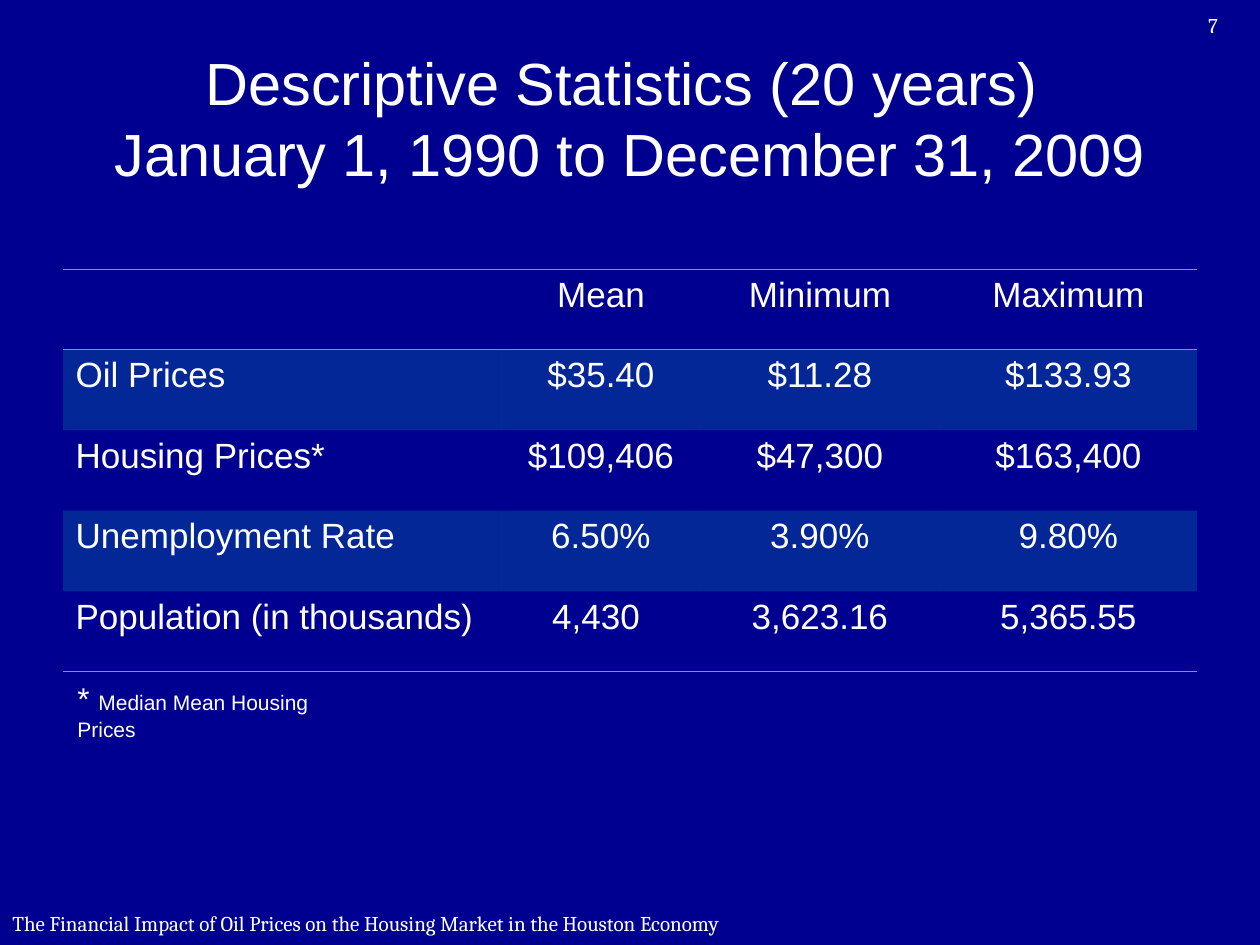
"""Build the descriptive statistics slide with its table, footnote, page number and footer."""
import pptx
import pptx.dml.color
import pptx.enum.text
import pptx.oxml
import pptx.oxml.ns
import pptx.util

ALIGN = pptx.enum.text.PP_ALIGN
ANCHOR = pptx.enum.text.MSO_ANCHOR
AUTO_SIZE = pptx.enum.text.MSO_AUTO_SIZE

THEME = {
    "background": "000090", "text": "FFFFFF", "accent": "17C7BA",
    "body_font": "Arial", "footer_font": "Cambria",
    "title": 34, "table": 20, "marker": 18, "small": 12,
    "rule": 0.45, "band_alpha": 20,
}

TABLE_ROWS = [
    ("", "Mean", "Minimum", "Maximum"),
    ("Oil Prices", "$35.40", "$11.28", "$133.93"),
    ("Housing Prices*", "$109,406", "$47,300", "$163,400"),
    ("Unemployment Rate", "6.50%", "3.90%", "9.80%"),
    ("Population (in thousands)", "4,430 ", "3,623.16", "5,365.55"),
]
COLUMN_WIDTHS = (439, 198, 240, 257)
TABLE_LEFT, TABLE_TOP, TABLE_HEIGHT = 63, 269, 403

TEXTS = [
    {"box": (63, 38, 1134, 158), "font": "body_font", "align": ALIGN.CENTER,
     "frame": {"word_wrap": True, "vertical_anchor": ANCHOR.MIDDLE},
     "runs": [("Descriptive Statistics (20 years) \nJanuary 1, 1990 to December 31, 2009", "title")]},
    {"box": (65, 673, 320, 50), "font": "body_font", "align": ALIGN.LEFT,
     "frame": {"word_wrap": False, "vertical_anchor": ANCHOR.TOP,
               "auto_size": AUTO_SIZE.SHAPE_TO_FIT_TEXT},
     "runs": [("* ", "marker"), ("Median Mean Housing Prices", "small")]},
    {"box": (1166, 0, 94, 50), "font": "footer_font", "align": ALIGN.CENTER,
     "frame": {"word_wrap": True, "vertical_anchor": ANCHOR.MIDDLE},
     "runs": [("7", "small")]},
    {"box": (0, 895, 798, 57), "font": "footer_font", "align": ALIGN.LEFT,
     "frame": {"word_wrap": True, "vertical_anchor": ANCHOR.MIDDLE},
     "runs": [("The Financial Impact of Oil Prices on the Housing Market in the Houston Economy", "small")]},
]


def px(length):
    return round(length * 914400 / 126)


def color(name):
    return pptx.dml.color.RGBColor.from_string(THEME[name])


def write(paragraph, runs, font_name, align):
    paragraph.alignment = align
    for text, size in runs:
        for index, line in enumerate(text.split("\n")):
            if index:
                paragraph.add_line_break()
            run = paragraph.add_run()
            run.text = line
            run.font.color.rgb = color("text")
            values = {"name": THEME[font_name], "size": pptx.util.Pt(THEME[size])}
            for key, value in values.items():
                setattr(run.font, key, value)


def add_text(slide, item):
    shape = slide.shapes.add_textbox(*map(px, item["box"]))
    for key, value in item["frame"].items():
        setattr(shape.text_frame, key, value)
    write(shape.text_frame.paragraphs[0], item["runs"], item["font"], item["align"])


def add_borders(cell, ruled_sides):
    properties = cell._tc.get_or_add_tcPr()
    namespace = pptx.oxml.ns.nsdecls("a")
    for index, side in enumerate(("lnL", "lnR", "lnT", "lnB")):
        fill = "<a:noFill/>"
        if side in ruled_sides:
            fill = f'<a:solidFill><a:srgbClr val="{THEME["accent"]}"/></a:solidFill>'
        width = pptx.util.Pt(THEME["rule"])
        border = pptx.oxml.parse_xml(f'<a:{side} {namespace} w="{width}">{fill}</a:{side}>')
        properties.insert(index, border)


def fill_band(cell):
    cell.fill.solid()
    cell.fill.fore_color.rgb = color("accent")
    swatch = cell._tc.tcPr.find(".//" + pptx.oxml.ns.qn("a:srgbClr"))
    namespace = pptx.oxml.ns.nsdecls("a")
    swatch.append(pptx.oxml.parse_xml(f'<a:alpha {namespace} val="{THEME["band_alpha"] * 1000}"/>'))


def add_statistics(slide):
    last = len(TABLE_ROWS) - 1
    table = slide.shapes.add_table(
        len(TABLE_ROWS), len(COLUMN_WIDTHS), px(TABLE_LEFT), px(TABLE_TOP),
        px(sum(COLUMN_WIDTHS)), px(TABLE_HEIGHT)).table
    table.first_row = table.horz_banding = False
    for column, width in zip(table.columns, COLUMN_WIDTHS):
        column.width = px(width)
    rules = {0: ("lnT", "lnB"), 1: ("lnT",), last: ("lnB",)}
    for row, values in enumerate(TABLE_ROWS):
        for column, value in enumerate(values):
            cell = table.cell(row, column)
            align = ALIGN.CENTER if column else ALIGN.LEFT
            if value:
                write(cell.text_frame.paragraphs[0], [(value, "table")], "body_font", align)
            if row % 2:
                fill_band(cell)
            else:
                cell.fill.background()
            add_borders(cell, rules.get(row, ()))


def main():
    presentation = pptx.Presentation()
    presentation.slide_width, presentation.slide_height = px(1260), px(945)
    slide = presentation.slides.add_slide(presentation.slide_layouts[6])
    slide.background.fill.solid()
    slide.background.fill.fore_color.rgb = color("background")
    title, *notes = TEXTS
    add_text(slide, title)
    add_statistics(slide)
    for item in notes:
        add_text(slide, item)
    presentation.save("out.pptx")


if __name__ == "__main__":
    main()
